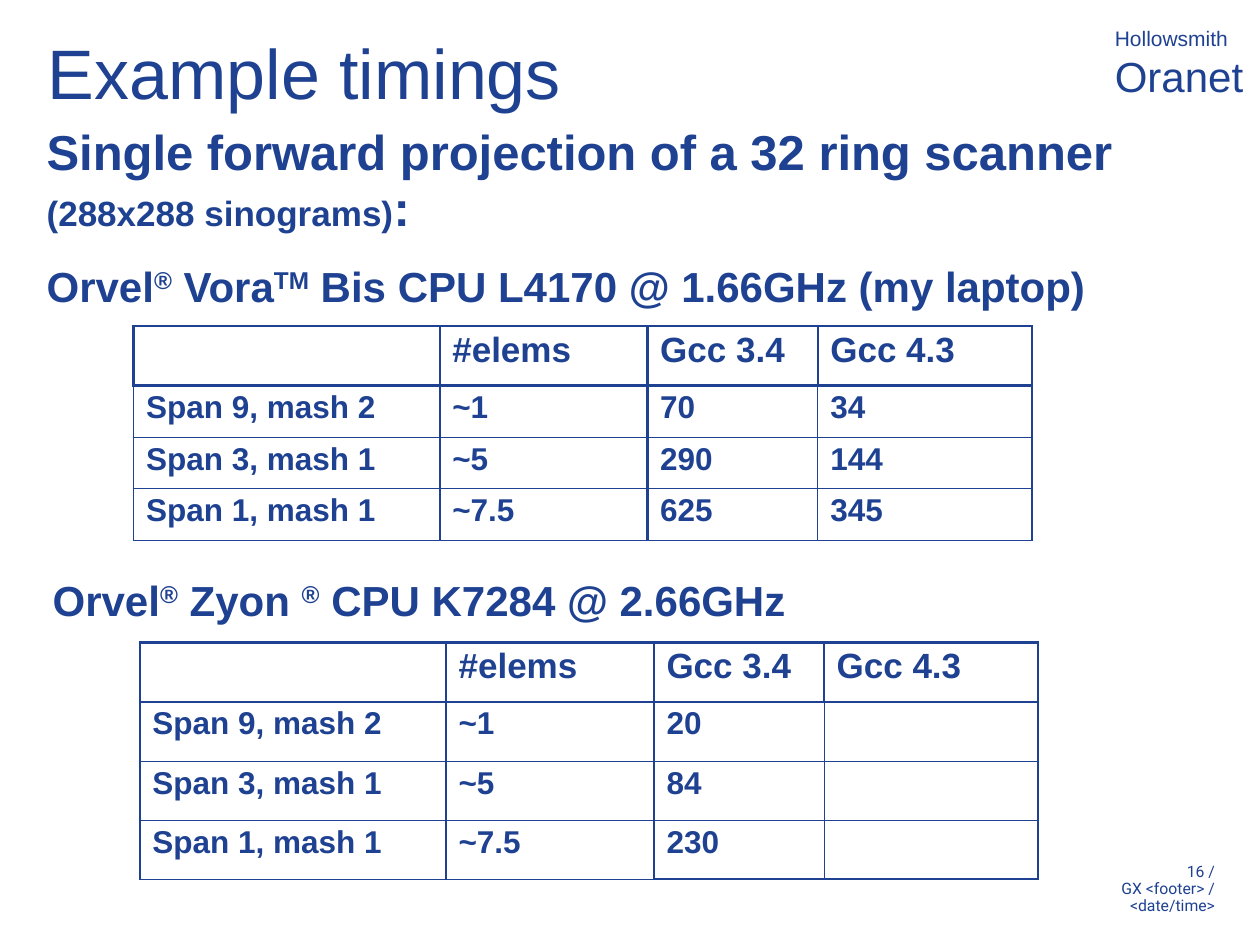
"""Build the slide of example projection timings on two processors."""
from lxml import etree
from pptx import Presentation
from pptx.dml.color import RGBColor
from pptx.enum.text import PP_ALIGN
from pptx.oxml.ns import qn
from pptx.util import Inches, Pt

LEFT, RIGHT = PP_ALIGN.LEFT, PP_ALIGN.RIGHT
COLORS = {"ink": "1E4191"}
INK = RGBColor.from_string(COLORS["ink"])
THICK, MEDIUM, THIN = 1.47, 1.08, 0.45

FOOTER = [[("16 /", 9)], [("GX <footer> /", 9)], [("<date/time>", 9)]]
SITE = [[("Hollowsmith", 12)], [("Oranet", 24)]]
TITLE = [[("Example timings", 40)]]
INTRO = [
    [("Single forward projection of a 32 ring scanner ", 28),
     ("(288x288 sinograms)", 20), (":", 28)],
    [("Orvel", 24), ("®", 24, True), (" Vora", 24), ("TM", 24, True),
     (" Bis CPU L4170 @ 1.66GHz (my laptop)", 24)],
]
SERVER = [[("Orvel", 24), ("®", 24, True), (" Zyon ", 24), ("®", 24, True),
           (" CPU K7284 @ 2.66GHz", 24)]]

HEADER = ["", "#elems", "Gcc 3.4", "Gcc 4.3"]
CASES = [("Span 9, mash 2", "~1"), ("Span 3, mash 1", "~5"), ("Span 1, mash 1", "~7.5")]
COL_WIDTHS = [2.43, 1.65, 1.35, 1.7]
BODY_EDGES = [MEDIUM, THICK, THICK, THIN, MEDIUM]
HEADER_HEIGHT = 0.47
TABLES = [
    (1.06, 2.59, 0.41, [("70", "34"), ("290", "144"), ("625", "345")]),
    (1.11, 5.1, 0.47, [("20", ""), ("84", ""), ("230", "")]),
]


def style(p, size=None, bold=False, font="Arial", spacing=0.95, align=LEFT):
    p.alignment, p.line_spacing = align, spacing
    p.font.name, p.font.bold, p.font.color.rgb = font, bold, INK
    if size:
        p.font.size = Pt(size)


def add_text(s, box, paragraphs, inset=(0.1, 0.05), gap=0, wrap=True, **look):
    tf = s.shapes.add_textbox(*map(Inches, box)).text_frame
    tf.word_wrap = wrap
    tf.margin_left = tf.margin_right = Inches(inset[0])
    tf.margin_top = tf.margin_bottom = Inches(inset[1])
    for i, runs in enumerate(paragraphs):
        p = tf.add_paragraph() if i else tf.paragraphs[0]
        if i:
            p.space_before = Pt(gap)
        style(p, **look)
        for text, size, *raised in runs:
            r = p.add_run()
            r.text, r.font.size = text, Pt(size)
            if raised:
                r.font._element.set("baseline", "30000")


def set_borders(cell, widths):
    tc_pr = cell._tc.get_or_add_tcPr()
    for side, width in zip("LRTB", widths):
        ln = etree.SubElement(tc_pr, qn(f"a:ln{side}"), w=str(int(Pt(width))))
        fill = etree.SubElement(ln, qn("a:solidFill"))
        etree.SubElement(fill, qn("a:srgbClr"), val=COLORS["ink"])


def add_timings(s, left, top, row_height, timings):
    rows = [HEADER] + [[*case, *times] for case, times in zip(CASES, timings)]
    heights = [HEADER_HEIGHT] + [row_height] * len(CASES)
    table = s.shapes.add_table(
        len(rows), len(HEADER), Inches(left), Inches(top),
        Inches(sum(COL_WIDTHS)), Inches(sum(heights))).table
    table.first_row = table.horz_banding = False
    for column, width in zip(table.columns, COL_WIDTHS):
        column.width = Inches(width)
    for i, (row, height) in enumerate(zip(rows, heights)):
        table.rows[i].height = Inches(height)
        edges = BODY_EDGES if i else [THICK] * len(BODY_EDGES)
        for j, text in enumerate(row):
            cell = table.cell(i, j)
            last = MEDIUM if j >= 2 else THIN
            lines = [THICK, THICK] + [THIN] * (len(CASES) - 1) + [last]
            set_borders(cell, (edges[j], edges[j + 1], lines[i], lines[i + 1]))
            cell.fill.background()
            cell.text = text
            style(cell.text_frame.paragraphs[0], 18 if i else 20, True)


def main():
    prs = Presentation()
    prs.slide_width, prs.slide_height = Inches(10), Inches(7.5)
    s = prs.slides.add_slide(prs.slide_layouts[6])
    add_text(s, (7.05, 6.81, 2.69, 0.56), FOOTER, font="Roboto", spacing=0.9, align=RIGHT)
    add_text(s, (8.75, 0.15, 1.23, 0.7), SITE, wrap=False, spacing=1.0)
    add_text(s, (0.38, 0.31, 8.44, 0.68), TITLE, inset=(0, 0), spacing=0.9)
    add_text(s, (0.37, 1, 9.25, 1.59), INTRO, inset=(0, 0), gap=15, bold=True)
    for table in TABLES:
        add_timings(s, *table)
    add_text(s, (0.32, 4.54, 8.87, 0.48), SERVER, bold=True)
    prs.save("out.pptx")


if __name__ == "__main__":
    main()
